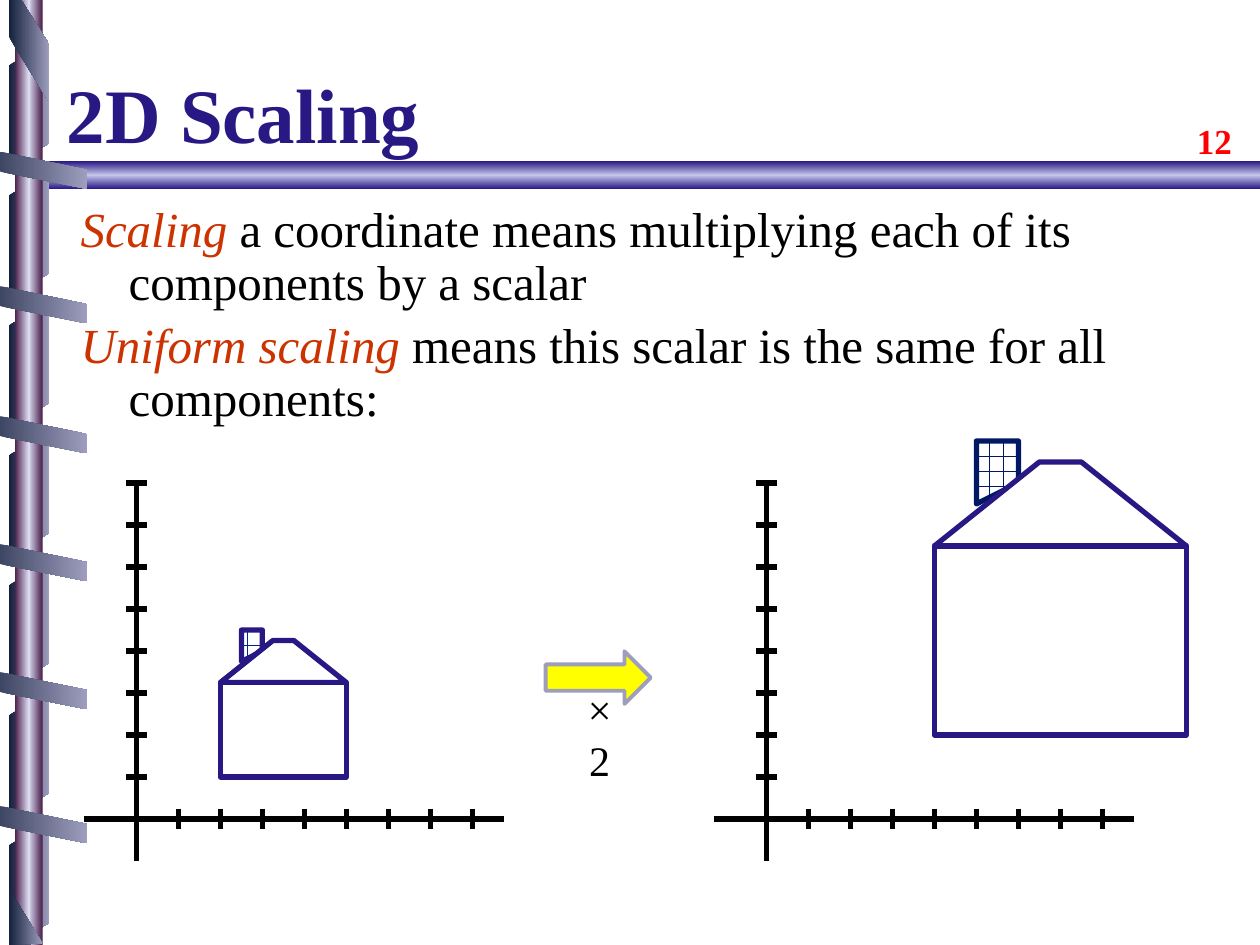
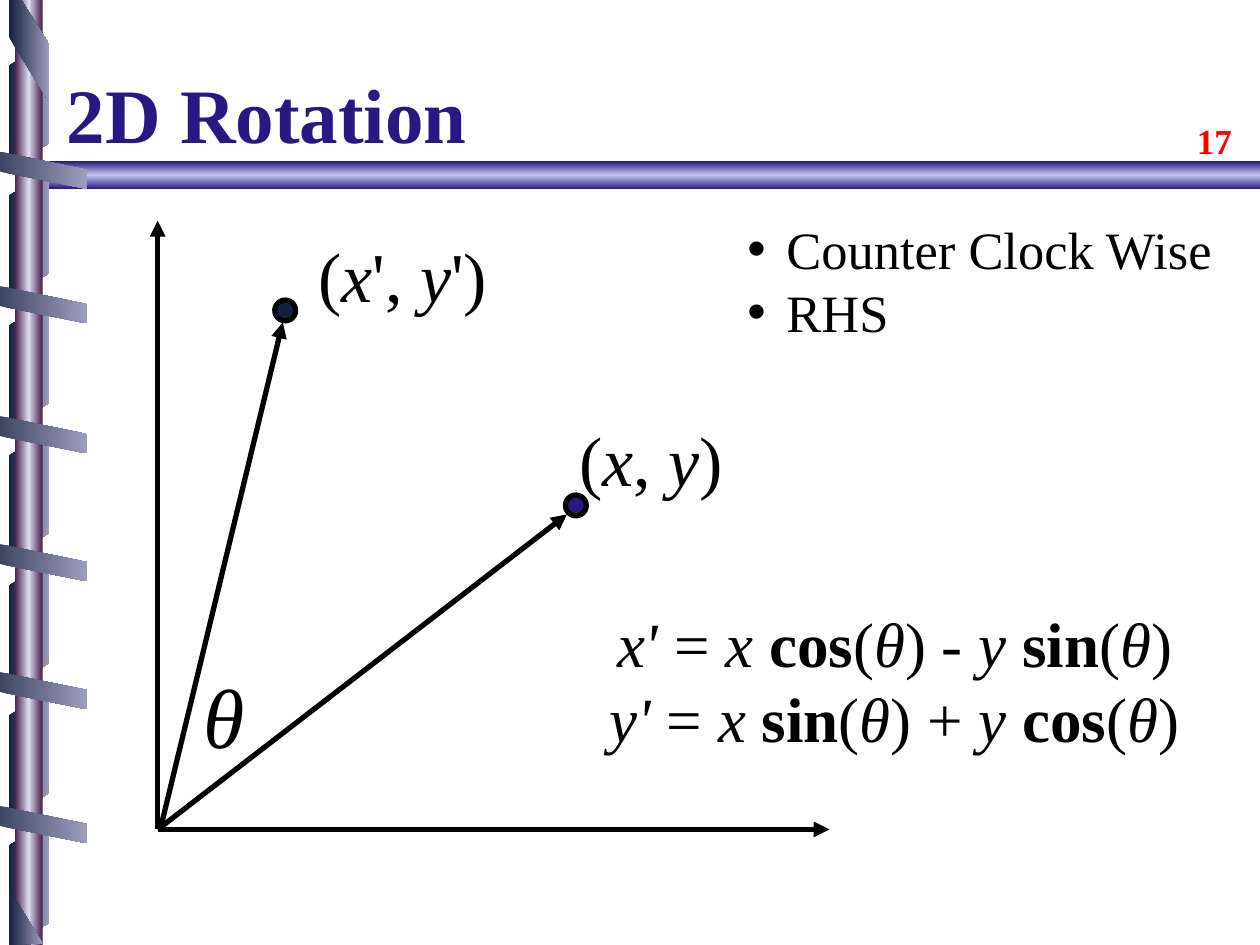
import copy

import lxml.etree
import pptx
import pptx.dml.color
import pptx.enum.dml
import pptx.enum.shapes
import pptx.enum.text
import pptx.oxml.ns
import pptx.util

Cm = pptx.util.Cm
Pt = pptx.util.Pt
RGBColor = pptx.dml.color.RGBColor
qn = pptx.oxml.ns.qn
SHAPE = pptx.enum.shapes.MSO_SHAPE
ALIGN = pptx.enum.text.PP_ALIGN
ANCHOR = pptx.enum.text.MSO_ANCHOR
FIT = pptx.enum.text.MSO_AUTO_SIZE

INDIGO = RGBColor(0x27, 0x18, 0x84)
LILAC = RGBColor(0xC5, 0xC5, 0xE9)
PALE = RGBColor(0xDB, 0xDB, 0xF1)
PLUM = RGBColor(0x49, 0x1D, 0x49)
NIGHT = RGBColor(0x14, 0x21, 0x3C)
SLATE = RGBColor(0x3D, 0x46, 0x62)
MIST = RGBColor(0x9D, 0x9D, 0xBD)
BRICK_BLUE = RGBColor(0x03, 0x23, 0x89)
NAVY = RGBColor(0x01, 0x19, 0x65)
BLACK = RGBColor(0, 0, 0)
WHITE = RGBColor(255, 255, 255)
RED = RGBColor(255, 0, 0)
RUST = RGBColor(0xCC, 0x33, 0)
YELLOW = RGBColor(255, 255, 0)
FONT = "Times New Roman"


def outline(shapes, points):
    corners = [(Cm(x), Cm(y)) for x, y in points]
    builder = shapes.build_freeform(*corners[0])
    builder.add_line_segments(corners[1:], close=True)
    return builder.convert_to_shape()


def rule(shapes, x1, y1, x2, y2, arrow=False):
    line = shapes.add_connector(
        pptx.enum.shapes.MSO_CONNECTOR.STRAIGHT, Cm(x1), Cm(y1), Cm(x2), Cm(y2))
    line.line.color.rgb = BLACK
    line.line.width = Pt(3)
    if arrow:
        stroke = line.element.spPr.find(qn("a:ln"))
        lxml.etree.SubElement(stroke, qn("a:tailEnd"), type="triangle")
    lxml.etree.SubElement(line.element.spPr, qn("a:effectLst"))


deck = pptx.Presentation()
deck.slide_width = Cm(25.4)
deck.slide_height = Cm(19.05)
layout = deck.slide_layouts[1]
for unused in list(layout.placeholders)[2:]:
    layout.shapes.element.remove(unused.element)

scaling = deck.slides.add_slide(layout)
shapes = scaling.shapes

band = shapes.add_shape(SHAPE.PENTAGON, Cm(0.48), Cm(3.25), Cm(24.92), Cm(0.56))
band.rotation = 180
band.adjustments[0] = 0.77
knob = shapes.add_shape(SHAPE.OVAL, Cm(0.36), Cm(3.23), Cm(0.61), Cm(0.56))
decor = [(band, (INDIGO, LILAC, INDIGO), 90), (knob, (WHITE, PALE), 0)]
for turn in range(7):
    top = 0.86 + 2.62 * turn
    back = outline(shapes, [(0.99, top), (0.99, top + 2.03), (0.18, top + 2.49), (0.18, top + 0.46)])
    decor.append((back, (NIGHT, MIST), 0))
pole = shapes.add_shape(SHAPE.RECTANGLE, Cm(0.3), 0, Cm(0.56), deck.slide_height)
decor.append((pole, (PLUM, PALE, PLUM), 0))
for top in (3.06, 5.77, 8.39, 10.97, 13.55, 16.25):
    front = outline(shapes, [(0, top), (1.75, top + 0.36), (1.75, top + 0.75), (0, top + 0.4)])
    decor.append((front, (SLATE, MIST), 0))
for ribbon_end in (
    [(0.18, 0), (0.18, 0.74), (0.99, 2.06), (0.99, 0.89), (0.43, 0)],
    [(0.86, 19.02), (0.18, 17.91), (0.18, 19.05)],
):
    decor.append((outline(shapes, ribbon_end), (NIGHT, MIST), 0))

for part, colours, angle in decor:
    part.shadow.inherit = False
    part.line.fill.background()
    part.fill.gradient()
    part.fill.gradient_angle = angle
    if len(colours) == 3:
        stop_list = part.element.spPr.find(qn("a:gradFill")).find(qn("a:gsLst"))
        stop_list.append(copy.deepcopy(stop_list[0]))
    for place, (stop, colour) in enumerate(zip(part.fill.gradient_stops, colours)):
        stop.position = place / (len(colours) - 1)
        stop.color.rgb = colour
    layout.shapes.element.append(part.element)

rotation = deck.slides.add_slide(layout)

UNIT = 2.54 / 3
FLOOR = 16.51
for origin, factor, bricks, chimney_edge in ((2.75, 1, BRICK_BLUE, INDIGO), (15.45, 2, NAVY, NAVY)):
    rule(shapes, origin, 9.74, origin, 17.36)
    rule(shapes, origin - 1.06, FLOOR, origin + 7.41, FLOOR)
    for tick in range(1, 9):
        x, y = origin + tick * UNIT, FLOOR - tick * UNIT
        rule(shapes, x, FLOOR - 0.21, x, FLOOR + 0.21)
        rule(shapes, origin - 0.21, y, origin + 0.21, y)
    step = factor * UNIT
    chimney, roof = [
        outline(shapes, [(origin + x * step, FLOOR - y * step) for x, y in corners])
        for corners in (
            [(2.5, 3.75), (2.5, 4.5), (3, 4.5), (3, 4)],
            [(2, 3.25), (3.25, 4.25), (3.75, 4.25), (5, 3.25)],
        )
    ]
    walls = shapes.add_shape(
        SHAPE.RECTANGLE, Cm(origin + 2 * step), Cm(FLOOR - 3.25 * step), Cm(3 * step), Cm(2.25 * step))
    for part, edge in ((chimney, chimney_edge), (roof, INDIGO), (walls, INDIGO)):
        part.shadow.inherit = False
        part.fill.solid()
        part.fill.fore_color.rgb = WHITE
        part.line.color.rgb = edge
        part.line.width = Pt(3)
    chimney.fill.patterned()
    chimney.fill.pattern = pptx.enum.dml.MSO_PATTERN.HORIZONTAL_BRICK
    chimney.fill.fore_color.rgb = bricks
    chimney.fill.back_color.rgb = WHITE

doubling = shapes.add_shape(SHAPE.RIGHT_ARROW, Cm(11), Cm(13.13), Cm(2.12), Cm(1.06))
doubling.shadow.inherit = False
doubling.fill.solid()
doubling.fill.fore_color.rgb = YELLOW
doubling.line.color.rgb = MIST
doubling.line.width = Pt(2.25)

for x, y, colour in ((5.54, 6.05, NIGHT), (11.4, 9.98, INDIGO)):
    point = rotation.shapes.add_shape(SHAPE.OVAL, Cm(x), Cm(y), Cm(0.42), Cm(0.42))
    point.shadow.inherit = False
    point.fill.solid()
    point.fill.fore_color.rgb = colour
    point.line.color.rgb = BLACK
    point.line.width = Pt(3)
for start_x, start_y, tip_x, tip_y in (
    (3.18, 16.72, 3.18, 4.45),
    (3.18, 16.72, 16.72, 16.72),
    (3.18, 16.72, 11.43, 10.37),
    (3.25, 16.64, 5.7, 6.5),
):
    rule(rotation.shapes, start_x, start_y, tip_x, tip_y, arrow=True)

PLAIN = {"size": Pt(28), "name": FONT, "bold": False, "italic": False}
STYLES = {"": {}, "i": {"italic": True}, "b": {"bold": True}, "term": {"italic": True}}
COLOURS = {"term": RUST}

equations = [
    [(f"{result}' ", "i"), ("= ", ""), ("x ", "i"), (first, "b"), ("(", ""), ("θ", "i"),
     (f") {sign} ", ""), ("y ", "i"), (second, "b"), ("(", ""), ("θ", "i"), (")", "")]
    for result, first, sign, second in (("x", "cos", "-", "sin"), ("y", "sin", "+", "cos"))
]
definitions = [
    [("Scaling", "term"), (" a coordinate means multiplying each of its components by a scalar", "")],
    [("Uniform scaling", "term"), (" means this scalar is the same for all components:", "")],
]
directions = [[("Counter Clock Wise", "")], [("RHS", "")]]

texts = []
for slide, heading, number in ((scaling, "2D Scaling", "12"), (rotation, "2D Rotation", "17")):
    texts.append((slide.shapes.title, (1.09, 0.36, 20.68, 2.97), [[(heading, "b")]],
                  44, INDIGO, ALIGN.LEFT, ANCHOR.BOTTOM, True))
    texts.append((slide.shapes.add_textbox(0, 0, 0, 0), (23.88, 2.29, 1.32, 1.09), [[(number, "b")]],
                  20, RED, ALIGN.LEFT, ANCHOR.TOP, False))
texts.append((scaling.placeholders[1], (1.37, 4.01, 23.7, 6.65), definitions,
              28, BLACK, ALIGN.LEFT, ANCHOR.TOP, True))
texts.append((rotation.placeholders[1], (13.54, 4.24, 11.61, 2.82), directions,
              30, BLACK, ALIGN.LEFT, ANCHOR.TOP, True))
for slide, place, lines, size, align, wrap in (
    (scaling, (11.38, 14.17, 1.42, 1.27), [[("× 2", "")]], 24, ALIGN.CENTER, True),
    (rotation, (3.81, 13.26, 1.4, 2.29), [[("θ", "i")]], 48, ALIGN.CENTER, False),
    (rotation, (11.43, 8.26, 3.45, 1.96),
     [[("(", ""), ("x", "i"), (", ", ""), ("y", "i"), (")", "")]], 40, ALIGN.LEFT, False),
    (rotation, (6.17, 4.55, 3.96, 1.96),
     [[("(", ""), ("x", "i"), ("', ", ""), ("y", "i"), ("')", "")]], 40, ALIGN.LEFT, False),
    (rotation, (11.94, 12.04, 12.19, 3.33), equations, 36, ALIGN.CENTER, False),
):
    texts.append((slide.shapes.add_textbox(0, 0, 0, 0), place, lines, size, BLACK,
                  align, ANCHOR.MIDDLE, wrap))

for holder, place, lines, size, colour, align, anchor, wrap in texts:
    holder.left, holder.top, holder.width, holder.height = map(Cm, place)
    frame = holder.text_frame
    frame.auto_size = FIT.NONE if wrap else FIT.SHAPE_TO_FIT_TEXT
    frame.word_wrap = wrap
    frame.vertical_anchor = anchor
    for index, line in enumerate(lines):
        paragraph = frame.paragraphs[0] if index == 0 else frame.add_paragraph()
        paragraph.alignment = align
        paragraph.space_before = Pt(0)
        for words, style in line:
            run = paragraph.add_run()
            run.text = words
            for attribute, value in {**PLAIN, "size": Pt(size), **STYLES[style]}.items():
                setattr(run.font, attribute, value)
            run.font.color.rgb = COLOURS.get(style, colour)

for listing, bullet, margin, hanging in (
    (scaling.placeholders[1], None, 0.97, -0.97),
    (rotation.placeholders[1], "•", 2.06, -0.79),
):
    for paragraph in listing.text_frame.paragraphs:
        properties = paragraph._p.get_or_add_pPr()
        properties.set("marL", str(Cm(margin)))
        properties.set("indent", str(Cm(hanging)))
        if bullet:
            lxml.etree.SubElement(properties, qn("a:buChar"), char=bullet)
        else:
            lxml.etree.SubElement(properties, qn("a:buNone"))

for index, paragraph in enumerate(scaling.placeholders[1].text_frame.paragraphs):
    paragraph.line_spacing = 0.9
    paragraph.space_before = Pt(5.6 * index)
    for run in paragraph.runs:
        effects = lxml.etree.Element(qn("a:effectLst"))
        shade = lxml.etree.SubElement(effects, qn("a:outerShdw"), dist="25400", dir="2700000")
        lxml.etree.SubElement(shade, qn("a:srgbClr"), val="808080")
        run.font._element.find(qn("a:solidFill")).addnext(effects)

deck.save("out.pptx")
